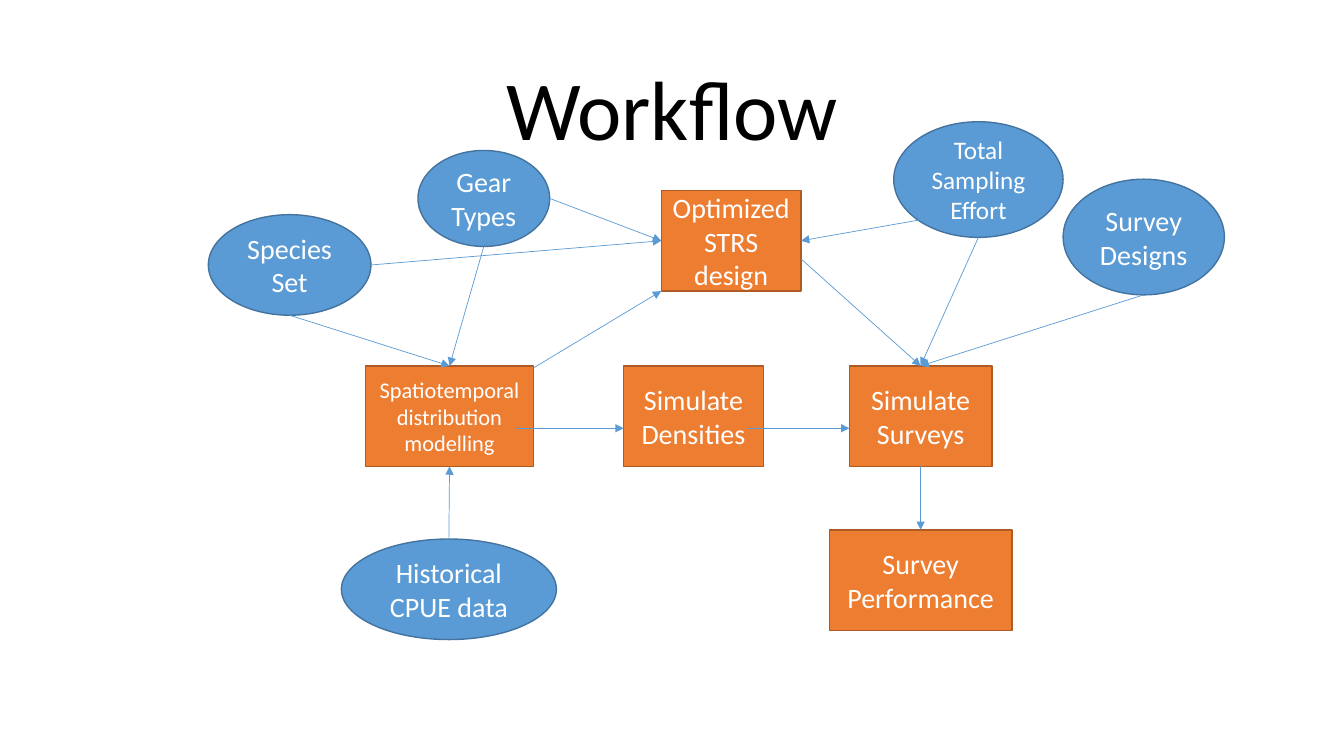
from typing import NamedTuple

from lxml.etree import SubElement
from pptx import Presentation
from pptx.dml.color import RGBColor
from pptx.enum.shapes import MSO_CONNECTOR, MSO_SHAPE
from pptx.enum.text import MSO_ANCHOR, PP_ALIGN
from pptx.oxml.ns import qn
from pptx.util import Inches, Pt


class Area(NamedTuple):
    left: float
    top: float
    width: float
    height: float


class Kind(NamedTuple):
    outline: MSO_SHAPE
    fill: str
    border: str


class Node(NamedTuple):
    label: str
    kind: Kind
    area: Area
    size: int = 20


class Anchor(NamedTuple):
    across: float
    down: float


class Flow(NamedTuple):
    source: str
    leaves: Anchor
    target: str
    enters: Anchor


FONT = "Calibri"
FLOW_COLOUR = "5B9BD5"
STEP = Kind(MSO_SHAPE.RECTANGLE, "ED7D31", "AF5C24")
INPUT = Kind(MSO_SHAPE.OVAL, "5B9BD5", "43739E")
FRAME_FORMAT = {"word_wrap": True, "vertical_anchor": MSO_ANCHOR.MIDDLE}

MAIN_ROW = 48.4
HEIGHT = 13.3
TITLE_AREA = Area(6.9, 5.3, 86.2, 19.3)

NODES = {
    "model": Node("Spatiotemporal distribution modelling", STEP, Area(27.2, MAIN_ROW, 12.5, HEIGHT), 16),
    "species": Node("Species Set", INPUT, Area(15.5, 28.4, 12.1, HEIGHT)),
    "gear": Node("Gear Types", INPUT, Area(31.1, 19.9, 9.8, 12.7)),
    "densities": Node("Simulate Densities", STEP, Area(46.4, MAIN_ROW, 10.4, HEIGHT)),
    "effort": Node("Total Sampling Effort", INPUT, Area(66.5, 16.1, 12.6, 15.3), 18),
    "surveys": Node("Simulate Surveys", STEP, Area(63.2, MAIN_ROW, 10.6, HEIGHT)),
    "performance": Node("Survey Performance", STEP, Area(61.7, 70.1, 13.6, HEIGHT)),
    "designs": Node("Survey Designs", INPUT, Area(79.1, 23.7, 12, 15.3)),
    "history": Node("Historical CPUE data", INPUT, Area(25.4, 71.3, 16, HEIGHT)),
    "strs": Node("Optimized STRS design", STEP, Area(49.2, 25.2, 10.4, HEIGHT)),
}

TOP, BOTTOM = Anchor(0.5, 0), Anchor(0.5, 1)
LEFT, RIGHT = Anchor(0, 0.5), Anchor(1, 0.5)
ROW_EXIT, ROW_ENTRY = Anchor(0.89, 0.62), Anchor(0, 0.62)

FLOWS = [
    Flow("gear", BOTTOM, "model", TOP),
    Flow("species", BOTTOM, "model", TOP),
    Flow("model", ROW_EXIT, "densities", ROW_ENTRY),
    Flow("effort", BOTTOM, "surveys", TOP),
    Flow("designs", BOTTOM, "surveys", TOP),
    Flow("densities", ROW_EXIT, "surveys", ROW_ENTRY),
    Flow("surveys", BOTTOM, "performance", TOP),
    Flow("history", TOP, "model", BOTTOM),
    Flow("gear", RIGHT, "strs", LEFT),
    Flow("species", RIGHT, "strs", LEFT),
    Flow("effort", Anchor(0.15, 0.85), "strs", RIGHT),
    Flow("model", Anchor(1, 0.02), "strs", Anchor(0, 1)),
    Flow("strs", Anchor(1, 0.68), "surveys", TOP),
]

deck = Presentation()
deck.slide_width, deck.slide_height = Inches(13.33), Inches(7.5)
workflow = deck.slides.add_slide(deck.slide_layouts[6])


def colour(code: str) -> RGBColor:
    return RGBColor.from_string(code)


def across(share: float) -> int:
    return round(deck.slide_width * share / 100)


def down(share: float) -> int:
    return round(deck.slide_height * share / 100)


def place(area: Area) -> tuple[int, int, int, int]:
    return across(area.left), down(area.top), across(area.width), down(area.height)


def point(node: Node, anchor: Anchor) -> tuple[int, int]:
    area = node.area
    return (
        across(area.left + area.width * anchor.across),
        down(area.top + area.height * anchor.down),
    )


def write(holder, wording: str, size: int, ink: str, spacing: float = 1.0) -> None:
    frame = holder.text_frame
    for name, value in FRAME_FORMAT.items():
        setattr(frame, name, value)
    line = frame.paragraphs[0]
    line.alignment = PP_ALIGN.CENTER
    line.line_spacing = spacing
    run = line.add_run()
    run.text = wording
    for name, value in {"name": FONT, "size": Pt(size)}.items():
        setattr(run.font, name, value)
    run.font.color.rgb = colour(ink)


def draw_node(node: Node) -> None:
    body = workflow.shapes.add_shape(node.kind.outline, *place(node.area))
    body.shadow.inherit = False
    body.fill.solid()
    body.fill.fore_color.rgb = colour(node.kind.fill)
    body.line.color.rgb = colour(node.kind.border)
    body.line.width = Pt(1)
    write(body, node.label, node.size, "FFFFFF")


def draw_flow(flow: Flow) -> None:
    start = point(NODES[flow.source], flow.leaves)
    end = point(NODES[flow.target], flow.enters)
    arrow = workflow.shapes.add_connector(MSO_CONNECTOR.STRAIGHT, *start, *end)
    arrow.line.color.rgb = colour(FLOW_COLOUR)
    arrow.line.width = Pt(0.5)
    properties = arrow.element.spPr
    SubElement(properties.find(qn("a:ln")), qn("a:tailEnd"), type="triangle")
    SubElement(properties, qn("a:effectLst"))


def main() -> None:
    heading = workflow.shapes.add_textbox(*place(TITLE_AREA))
    write(heading, "Workflow", 60, "000000", 0.9)
    for node in NODES.values():
        draw_node(node)
    for flow in FLOWS:
        draw_flow(flow)
    deck.save("out.pptx")


if __name__ == "__main__":
    main()
